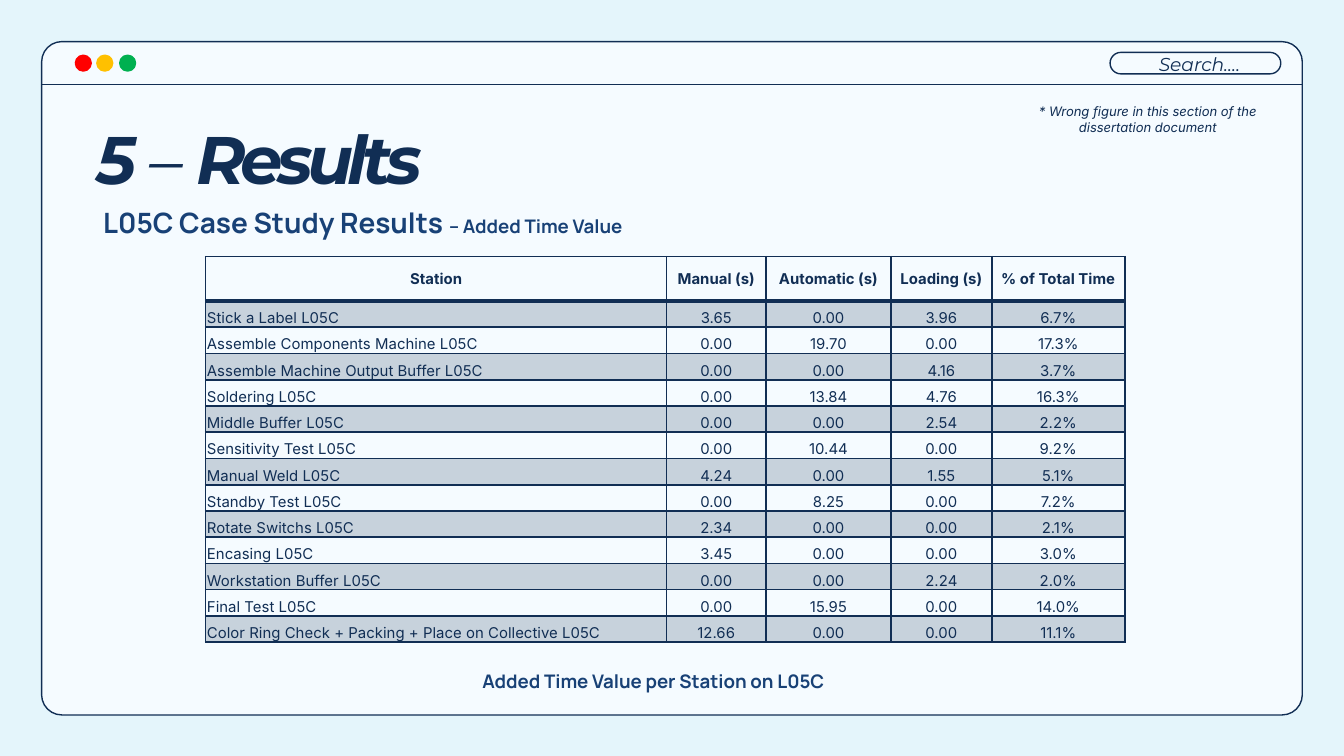
from lxml import etree
from pptx import Presentation
from pptx.dml.color import RGBColor
from pptx.enum.shapes import MSO_CONNECTOR, MSO_SHAPE
from pptx.enum.text import MSO_ANCHOR, PP_ALIGN
from pptx.oxml.ns import qn
from pptx.util import Inches, Pt

ROUND, OVAL = MSO_SHAPE.ROUNDED_RECTANGLE, MSO_SHAPE.OVAL
STRAIGHT = MSO_CONNECTOR.STRAIGHT
TOP, MIDDLE, BOTTOM = MSO_ANCHOR.TOP, MSO_ANCHOR.MIDDLE, MSO_ANCHOR.BOTTOM
LEFT, CENTER = PP_ALIGN.LEFT, PP_ALIGN.CENTER

SKY = RGBColor(0xE4, 0xF5, 0xFB)
PANEL = RGBColor(0xF5, 0xFB, 0xFF)
NAVY = RGBColor(0x11, 0x2E, 0x54)
BLUE = RGBColor(0x18, 0x41, 0x76)
RED = RGBColor(0xFF, 0x00, 0x00)
AMBER = RGBColor(0xFF, 0xC0, 0x00)
GREEN = RGBColor(0x00, 0xB0, 0x50)

WIDTHS = (3.43, 0.74, 0.93, 0.75, 0.99)
HEAD = 0.33
HEIGHT = 2.87
ROWS = (
    ("Station", "Manual (s)", "Automatic (s)", "Loading (s)", "% of Total Time"),
    ("Stick a Label L05C", "3.65", "0.00", "3.96", "6.7%"),
    ("Assemble Components Machine L05C", "0.00", "19.70", "0.00", "17.3%"),
    ("Assemble Machine Output Buffer L05C", "0.00", "0.00", "4.16", "3.7%"),
    ("Soldering L05C", "0.00", "13.84", "4.76", "16.3%"),
    ("Middle Buffer L05C", "0.00", "0.00", "2.54", "2.2%"),
    ("Sensitivity Test L05C", "0.00", "10.44", "0.00", "9.2%"),
    ("Manual Weld L05C", "4.24", "0.00", "1.55", "5.1%"),
    ("Standby Test L05C", "0.00", "8.25", "0.00", "7.2%"),
    ("Rotate Switchs L05C", "2.34", "0.00", "0.00", "2.1%"),
    ("Encasing L05C", "3.45", "0.00", "0.00", "3.0%"),
    ("Workstation Buffer L05C", "0.00", "0.00", "2.24", "2.0%"),
    ("Final Test L05C", "0.00", "15.95", "0.00", "14.0%"),
    ("Color Ring Check + Packing + Place on Collective L05C",
     "12.66", "0.00", "0.00", "11.1%"),
)


def style(run, face, size, color, bold=False, italic=False):
    font = run.font
    font.name, font.size = face, Pt(size)
    font.bold, font.italic = bold, italic
    font.color.rgb = color


def add_shape(slide, kind, box, fill, line, width, round_by=None):
    shape = slide.shapes.add_shape(kind, *map(Inches, box))
    shape.shadow.inherit = False
    if fill is None:
        shape.fill.background()
    else:
        shape.fill.solid()
        shape.fill.fore_color.rgb = fill
    shape.line.color.rgb = line
    shape.line.width = Pt(width)
    if round_by is not None:
        shape.adjustments[0] = round_by


def add_rule(slide, left, right, y):
    rule = slide.shapes.add_connector(
        STRAIGHT, Inches(left), Inches(y), Inches(right), Inches(y))
    rule.line.color.rgb = NAVY
    rule.line.width = Pt(0.75)
    etree.SubElement(rule.element.spPr, qn("a:effectLst"))


def add_text(slide, box, parts, face, color, align=LEFT, anchor=TOP,
             italic=False, space=None, track=None):
    frame = slide.shapes.add_textbox(*map(Inches, box)).text_frame
    frame.word_wrap = True
    frame.vertical_anchor = anchor
    frame.margin_left = frame.margin_right = Inches(0.1)
    frame.margin_top = frame.margin_bottom = Inches(0.1)
    para = frame.paragraphs[0]
    para.alignment = align
    if space:
        para.line_spacing = space
    for text, size, bold in parts:
        run = para.add_run()
        run.text = text
        style(run, face, size, color, bold, italic)
        if track:
            run.font._element.set("spc", str(track * 100))


def add_border(cell, side, width):
    line = etree.SubElement(cell._tc.get_or_add_tcPr(), qn("a:ln" + side),
                            w=str(Pt(width)))
    fill = etree.SubElement(line, qn("a:solidFill"))
    etree.SubElement(fill, qn("a:srgbClr"), val=str(NAVY))


def fill_cell(cell, shaded):
    if not shaded:
        cell.fill.background()
        return
    cell.fill.solid()
    cell.fill.fore_color.rgb = NAVY
    tint = cell._tc.tcPr.find(qn("a:solidFill")).find(qn("a:srgbClr"))
    etree.SubElement(tint, qn("a:alpha"), val="20000")


def set_cell(cell, text, row, col):
    cell.margin_left = cell.margin_right = cell.margin_top = Inches(0.01)
    cell.margin_bottom = 0
    cell.vertical_anchor = BOTTOM if row else MIDDLE
    para = cell.text_frame.paragraphs[0]
    para.text = text
    para.alignment = LEFT if row and col == 0 else CENTER
    style(para.runs[0], "Inter", 8, NAVY, bold=row == 0)
    thick = {"T": row == 1, "B": row == 0}
    for side in "LRTB":
        add_border(cell, side, 2 if thick.get(side) else 1)
    fill_cell(cell, row % 2 == 1)


def add_times(slide):
    table = slide.shapes.add_table(
        len(ROWS), len(WIDTHS), Inches(1.53), Inches(1.91),
        Inches(sum(WIDTHS)), Inches(HEIGHT)).table
    table.first_row = table.horz_banding = False
    for col, width in zip(table.columns, WIDTHS):
        col.width = Inches(width)
    step = (HEIGHT - HEAD) / (len(ROWS) - 1)
    for r, texts in enumerate(ROWS):
        table.rows[r].height = Inches(step if r else HEAD)
        for c, text in enumerate(texts):
            set_cell(table.cell(r, c), text, r, c)


def add_window(slide):
    add_shape(slide, ROUND, (0.31, 0.31, 9.38, 5.01), PANEL, NAVY, 0.75, 0.03)
    add_shape(slide, ROUND, (8.26, 0.39, 1.27, 0.16), None, NAVY, 0.75, 0.5)
    add_rule(slide, 0.31, 9.69, 0.63)
    for x, color in zip((0.57, 0.73, 0.9), (RED, AMBER, GREEN)):
        add_shape(slide, OVAL, (x, 0.42, 0.1, 0.1), color, color, 2)
    add_text(slide, (8.34, 0.45, 1.17, 0.19), [("Search.…", 10, False)],
             "Montserrat", NAVY, CENTER, BOTTOM, italic=True)


def main():
    deck = Presentation()
    deck.slide_width = Inches(10)
    deck.slide_height = deck.slide_width * 9 // 16
    slide = deck.slides.add_slide(deck.slide_layouts[6])
    slide.background.fill.solid()
    slide.background.fill.fore_color.rgb = SKY
    add_window(slide)
    add_text(slide, (0.67, 1.39, 5.9, 0.52),
             [("L05C Case Study Results ", 15, True),
              ("– Added Time Value", 10, True)],
             "Manrope", BLUE, space=1.15)
    add_times(slide)
    add_text(slide, (7.39, 0.67, 2.3, 0.73),
             [("* Wrong figure in this section of the dissertation document",
               7, False)],
             "Inter", NAVY, CENTER, italic=True)
    add_text(slide, (3.35, 4.86, 3.02, 0.52),
             [("Added Time Value per Station on L05C", 10, True)],
             "Manrope", BLUE, CENTER, space=1.15)
    add_text(slide, (0.62, 1.21, 8.59, 0.36),
             [("5 ", 36, True), ("–", 36, False), (" Results", 36, True)],
             "Montserrat", NAVY, anchor=BOTTOM, italic=True, track=-3)
    deck.save("out.pptx")


if __name__ == "__main__":
    main()
